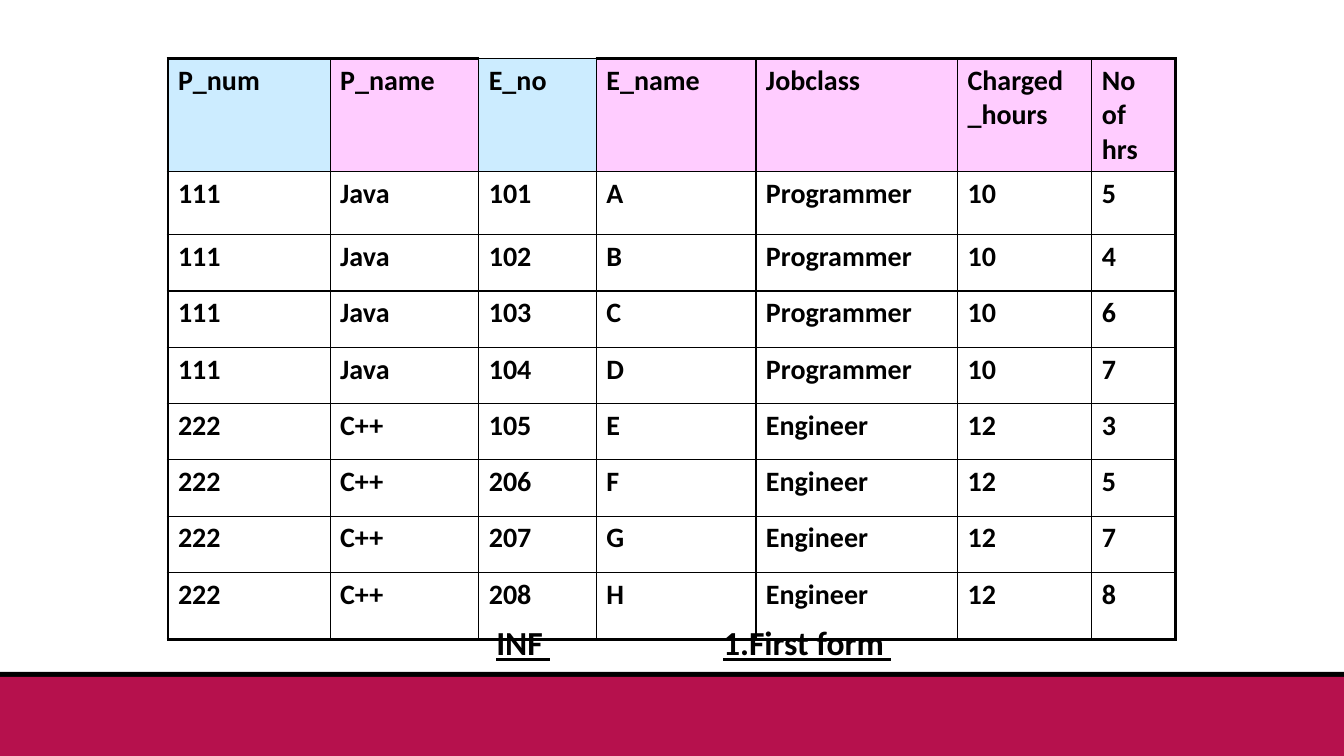
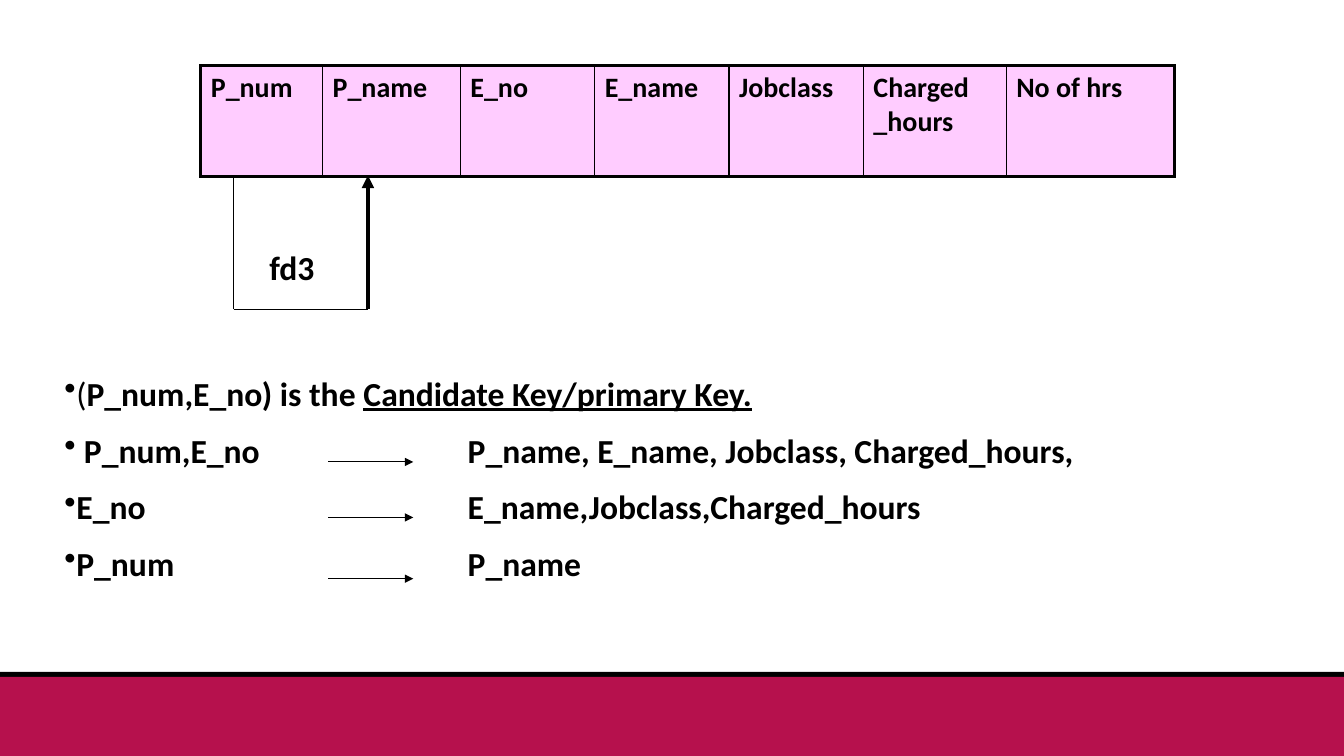
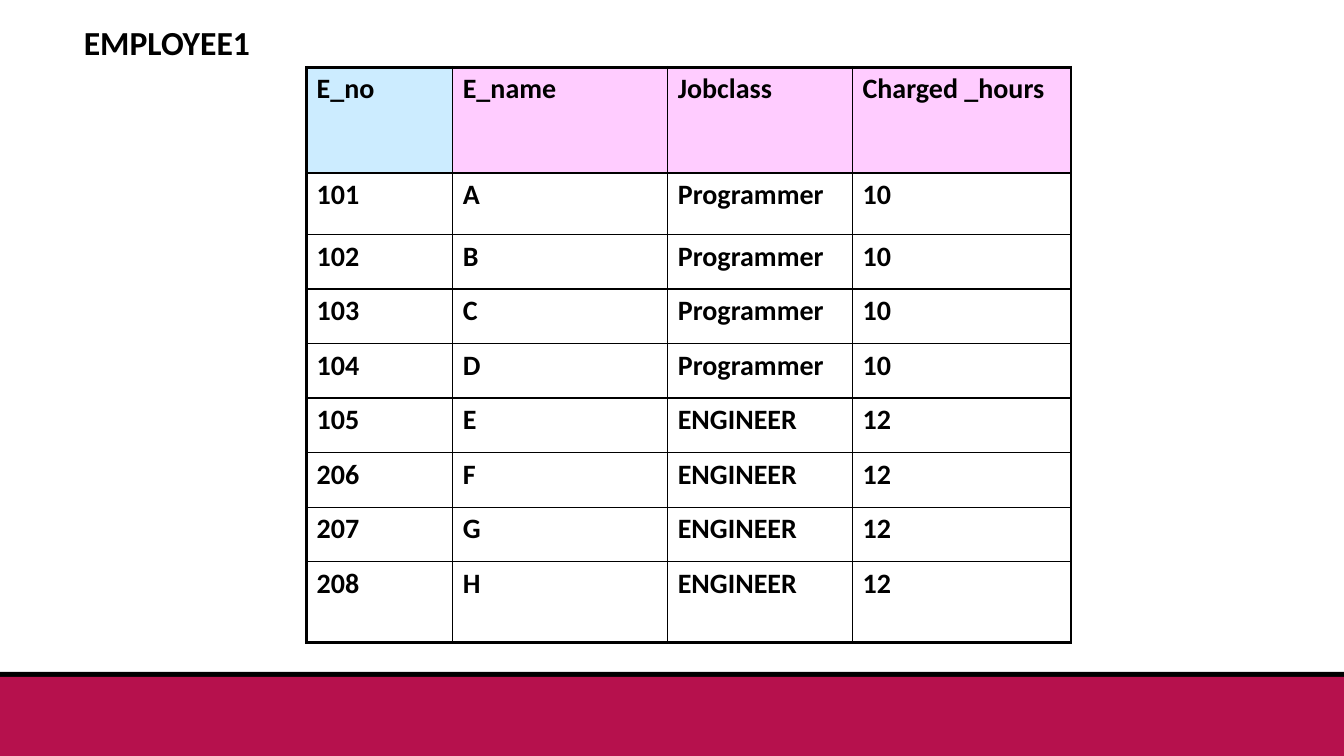
from lxml import etree
from pptx import Presentation
from pptx import util as u
from pptx.dml.color import RGBColor
from pptx.enum import shapes, text
from pptx.oxml.ns import qn

BLACK = RGBColor(0x00, 0x00, 0x00)
CRIMSON = RGBColor(0xB6, 0x11, 0x4D)
SKY = RGBColor(0xCC, 0xEC, 0xFF)
PINK = RGBColor(0xFF, 0xCC, 0xFF)

COLUMNS, ROWS = 160, 90
CELL = u.Inches(1 / 12)
THIN, THICK = 1, 2.25


def grid(*lengths):
    return [u.Emu(round(length * CELL)) for length in lengths]


def write(frame, paragraphs, size=24, bold=True, underline=False,
          bullet=None, tab=None, space=0):
    frame.word_wrap = True
    for index, runs in enumerate(paragraphs):
        paragraph = frame.add_paragraph() if index else frame.paragraphs[0]
        paragraph.alignment = text.PP_ALIGN.LEFT
        if index and space:
            paragraph.space_before = u.Pt(space)
        properties = paragraph._p.get_or_add_pPr()
        if bullet:
            properties.set("marL", "0")
            properties.set("indent", "0")
            etree.SubElement(properties, qn("a:buChar"), char=bullet)
        if tab:
            stops = etree.SubElement(properties, qn("a:tabLst"))
            etree.SubElement(stops, qn("a:tab"), pos=str(grid(tab)[0]), algn="l")
        for words, changes in [(runs, {})] if isinstance(runs, str) else runs:
            run = paragraph.add_run()
            run.text = words
            run.font.name = "Calibri"
            run.font.size = u.Pt(size)
            run.font.bold = changes.get("bold", bold)
            run.font.underline = changes.get("underline", underline)
            run.font.color.rgb = BLACK


class Deck:
    def __init__(self):
        self.presentation = Presentation()
        self.presentation.slide_width, self.presentation.slide_height = grid(COLUMNS, ROWS)
        self.slide = None

    def new_slide(self):
        self.slide = self.presentation.slides.add_slide(self.presentation.slide_layouts[6])
        self.band(80, BLACK)
        self.band(80.6, CRIMSON)

    def band(self, top, color):
        band = self.slide.shapes.add_shape(
            shapes.MSO_SHAPE.RECTANGLE, *grid(0, top, COLUMNS, ROWS - top))
        band.shadow.inherit = False
        band.fill.solid()
        band.fill.fore_color.rgb = color
        band.line.fill.background()

    def label(self, left, top, width, height, *paragraphs, **style):
        box = self.slide.shapes.add_textbox(*grid(left, top, width, height))
        write(box.text_frame, paragraphs, **style)

    def line(self, start, end, weight=0.75, arrow=False):
        line = self.slide.shapes.add_connector(
            shapes.MSO_CONNECTOR.STRAIGHT, *grid(*start, *end))
        line.line.color.rgb = BLACK
        line.line.width = u.Pt(weight)
        if arrow:
            etree.SubElement(line.line._get_or_add_ln(), qn("a:tailEnd"), type="triangle")
        etree.SubElement(line._element.spPr, qn("a:effectLst"))

    def table(self, left, top, widths, heights, records, keys=(), thin_tops=()):
        table = self.slide.shapes.add_table(
            len(heights), len(widths),
            *grid(left, top, sum(widths), sum(heights))).table
        table.first_row = table.horz_banding = False
        for column, width in zip(table.columns, grid(*widths)):
            column.width = width
        for row, height in zip(table.rows, grid(*heights)):
            row.height = height
        for r, record in enumerate(records):
            for c, value in enumerate(record):
                cell = table.cell(r, c)
                write(cell.text_frame, [value], size=20)
                if r:
                    cell.fill.background()
                else:
                    cell.fill.solid()
                    cell.fill.fore_color.rgb = SKY if value in keys else PINK
                self.borders(cell, {
                    "L": c == 0,
                    "R": c == len(widths) - 1,
                    "T": r == 0 and value not in thin_tops,
                    "B": r == len(heights) - 1,
                })

    def borders(self, cell, outer_sides):
        properties = cell._tc.get_or_add_tcPr()
        for place, (side, outer) in enumerate(outer_sides.items()):
            weight = u.Pt(THICK if outer else THIN)
            border = etree.Element(qn("a:ln" + side), w=str(weight))
            fill = etree.SubElement(border, qn("a:solidFill"))
            etree.SubElement(fill, qn("a:srgbClr"), val=str(BLACK))
            properties.insert(place, border)


def main():
    deck = Deck()
    fields = ["P_num", "P_name", "E_no", "E_name", "Jobclass", "Charged _hours", "No of hrs"]
    numbers = ["101", "102", "103", "104", "105", "206", "207", "208"]
    staff = list(zip(numbers, "ABCDEFGH"))
    java = ("111", "Java", "Programmer", "10")
    cpp = ("222", "C++", "Engineer", "12")
    projects = [java] * 4 + [cpp] * 4
    assignments = [
        [project, title, number, name, job, charge, hours]
        for (project, title, job, charge), (number, name), hours
        in zip(projects, staff, "54673578")]
    employees = [
        [number, name, job.upper() if job == "Engineer" else job, charge]
        for (_, _, job, charge), (number, name) in zip(projects, staff)]

    deck.new_slide()
    deck.table(20, 7, [19.3, 17.7, 14, 19, 24, 16, 10], [10, 7.5] + [6.7] * 6 + [8],
               [fields] + assignments, keys=("P_num", "E_no"), thin_tops=("E_no",))
    deck.label(57.9, 73.5, 22, 6, "INF ", underline=True)
    deck.label(84.9, 73.5, 35, 6, "1.First form ", underline=True)

    deck.new_slide()
    deck.table(23.9, 7.8, [14.5, 16.4, 16, 16, 16, 17, 20], [13.2], [fields])
    source, target, under_table, turn = 27.8, 43.8, 20.9, 36.8
    deck.line((source, under_table), (source, turn))
    deck.line((source, turn), (target, turn))
    deck.line((target, turn), (target, under_table), weight=3, arrow=True)
    deck.label(30.9, 28.8, 11, 6, "fd3")
    deck.label(
        6.5, 43.8, 143.8, 35,
        [("(", {"bold": False}), ("P_num,E_no) is the ", {}),
         ("Candidate Key/primary Key.", {"underline": True})],
        " P_num,E_no\tP_name, E_name, Jobclass, Charged_hours,",
        "E_no\tE_name,Jobclass,Charged_hours",
        "P_num\tP_name",
        bullet="•", tab=48, space=11.6)
    for height in (55, 61.6, 68.9):
        deck.line((39.1, height), (49.2, height), arrow=True)

    deck.new_slide()
    deck.table(36.5, 8, [17.4, 25.6, 22, 26], [12.6, 7.3] + [6.5] * 6 + [9.6],
               [fields[2:6]] + employees, keys=("E_no",))
    deck.label(8.8, 2, 32, 6, "EMPLOYEE1")

    deck.presentation.save("out.pptx")


if __name__ == "__main__":
    main()
